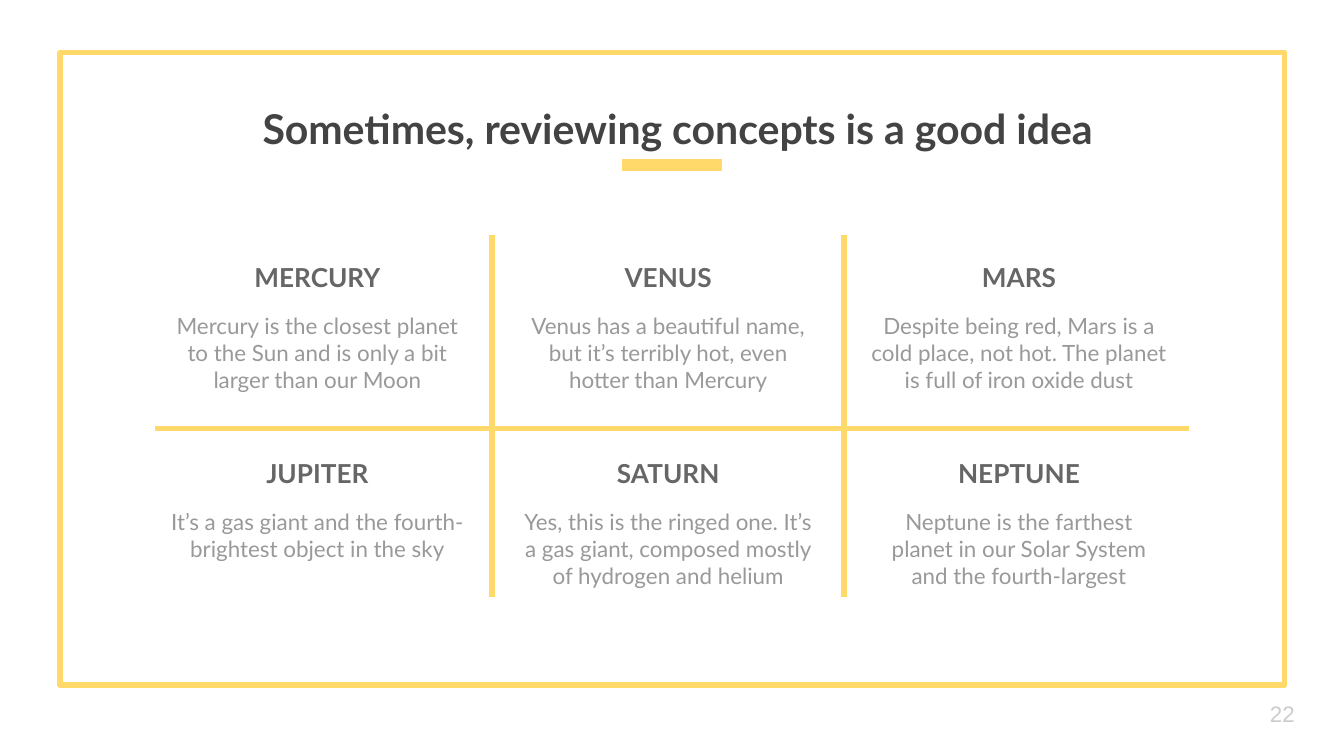
from dataclasses import dataclass

from lxml.etree import SubElement
from pptx import Presentation
from pptx.dml.color import RGBColor as RGB
from pptx.enum.shapes import MSO_CONNECTOR as Link, MSO_SHAPE as Shape
from pptx.enum.text import MSO_ANCHOR as Anchor, MSO_AUTO_SIZE as Fit, PP_ALIGN as Align
from pptx.oxml.ns import qn
from pptx.util import Cm, Pt


@dataclass(frozen=True)
class Type:
    size: float
    color: str
    bold: bool = False
    font: str = "Lato"


class Theme:
    gold = "FFD969"
    title = Type(22, "434343", True)
    head = Type(14, "666666", True)
    body = Type(12, "999999")
    number = Type(12, "CCCCCC", font="Arial")
    thin, line, bar = 2.25, 3, 6
    inset = 0.25


class Page:
    """Draws on one slide; places and sizes are in centimetres."""

    def __init__(self, slide, theme):
        self.slide = slide
        self.theme = theme

    def stroke(self, line, width):
        line.color.rgb = RGB.from_string(self.theme.gold)
        line.width = Pt(width)

    def frame(self, *box):
        rect = self.slide.shapes.add_shape(Shape.RECTANGLE, *map(Cm, box))
        rect.shadow.inherit = False
        rect.fill.background()
        self.stroke(rect.line, self.theme.line)

    def line(self, x1, y1, x2, y2, width):
        link = self.slide.shapes.add_connector(
            Link.STRAIGHT, Cm(x1), Cm(y1), Cm(x2), Cm(y2))
        self.stroke(link.line, width)
        SubElement(link._element.spPr, qn("a:effectLst"))

    def letter(self, shape, text, style, anchor, align):
        """Sets the text of a shape in one style."""
        frame = shape.text_frame
        frame.word_wrap = True
        frame.auto_size = Fit.NONE
        frame.vertical_anchor = anchor
        frame.margin_left = frame.margin_right = Cm(self.theme.inset)
        frame.margin_top = frame.margin_bottom = Cm(self.theme.inset)
        para = frame.paragraphs[0]
        para.alignment = align
        run = para.add_run()
        run.text = text
        run.font.name = style.font
        run.font.size = Pt(style.size)
        run.font.bold = style.bold
        run.font.color.rgb = RGB.from_string(style.color)

    def title(self, text, left, top, width, height):
        shape = self.slide.shapes.title
        shape.left, shape.top = Cm(left), Cm(top)
        shape.width, shape.height = Cm(width), Cm(height)
        self.letter(shape, text, self.theme.title, Anchor.BOTTOM, Align.CENTER)

    def text(self, text, box, style, anchor=Anchor.TOP, align=Align.CENTER):
        shape = self.slide.shapes.add_textbox(*map(Cm, box))
        self.letter(shape, text, style, anchor, align)

    def planet(self, mid, top, name, fact, width):
        """Centres a heading and its fact on the column middle."""
        wide, high = 5.87, 1.8
        self.text(name, (mid - wide / 2, top, wide, high),
                  self.theme.head, Anchor.BOTTOM)
        self.text(fact, (mid - width / 2, top + 1.68, width, high), self.theme.body)


# Name, fact and width of the fact's box, row by row
PLANETS = [
    [("MERCURY", "Mercury is the closest planet to the Sun and is only a bit "
      "larger than our Moon", 6.05),
     ("VENUS", "Venus has a beautiful name, but it’s terribly hot, even hotter "
      "than Mercury", 6.05),
     ("MARS", "Despite being red, Mars is a cold place, not hot. The planet is "
      "full of iron oxide dust", 6.45)],
    [("JUPITER", "It’s a gas giant and the fourth-brightest object in the sky", 6.55),
     ("SATURN", "Yes, this is the ringed one. It’s a gas giant, composed mostly "
      "of hydrogen and helium", 6.22),
     ("NEPTUNE", "Neptune is the farthest planet in our Solar System and the "
      "fourth-largest", 5.87)],
]


def main():
    deck = Presentation()
    deck.slide_width, deck.slide_height = Cm(25.4), Cm(14.29)
    theme = Theme()
    page = Page(deck.slides.add_slide(deck.slide_layouts[5]), theme)

    page.frame(1.14, 0.99, 23.14, 11.96)
    page.title("Sometimes, reviewing concepts is a good idea", 2.16, 1.78, 21.3, 1.35)
    page.line(11.76, 3.12, 13.64, 3.12, theme.bar)

    first, step, middle = 6, 6.63, 8.1
    mids = [first + step * col for col in range(3)]
    page.line(2.92, middle, 22.48, middle, theme.line)
    for x in (9.3, 15.95):
        page.line(x, 4.45, x, 11.28, theme.line)
    for mid in mids:
        page.line(mid - 2.86, middle, mid + 2.86, middle, theme.thin)

    for row, planets in enumerate(PLANETS):
        for mid, planet in zip(mids, planets):
            page.planet(mid, 3.98 + 3.7 * row, *planet)

    page.text("22", (23.75, 12.95, 1.52, 1.09), theme.number,
              Anchor.MIDDLE, Align.LEFT)
    deck.save("out.pptx")


if __name__ == "__main__":
    main()
